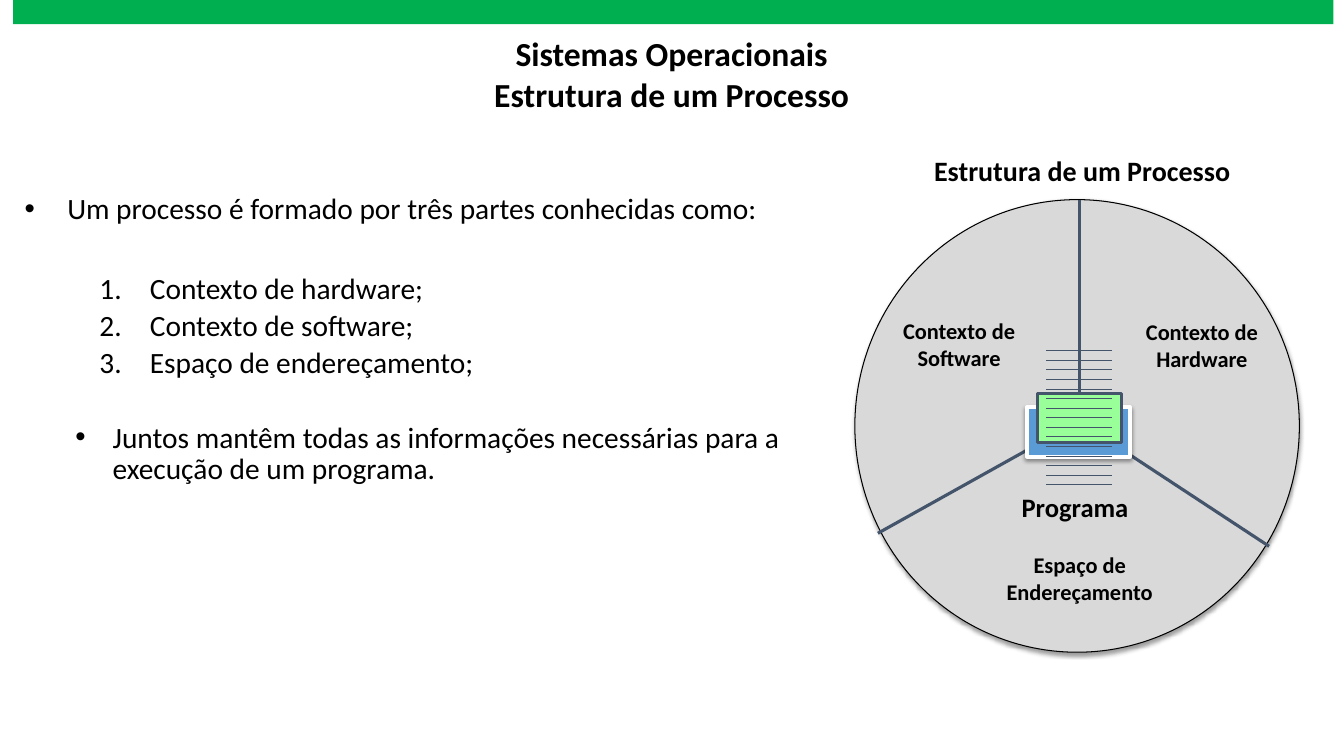
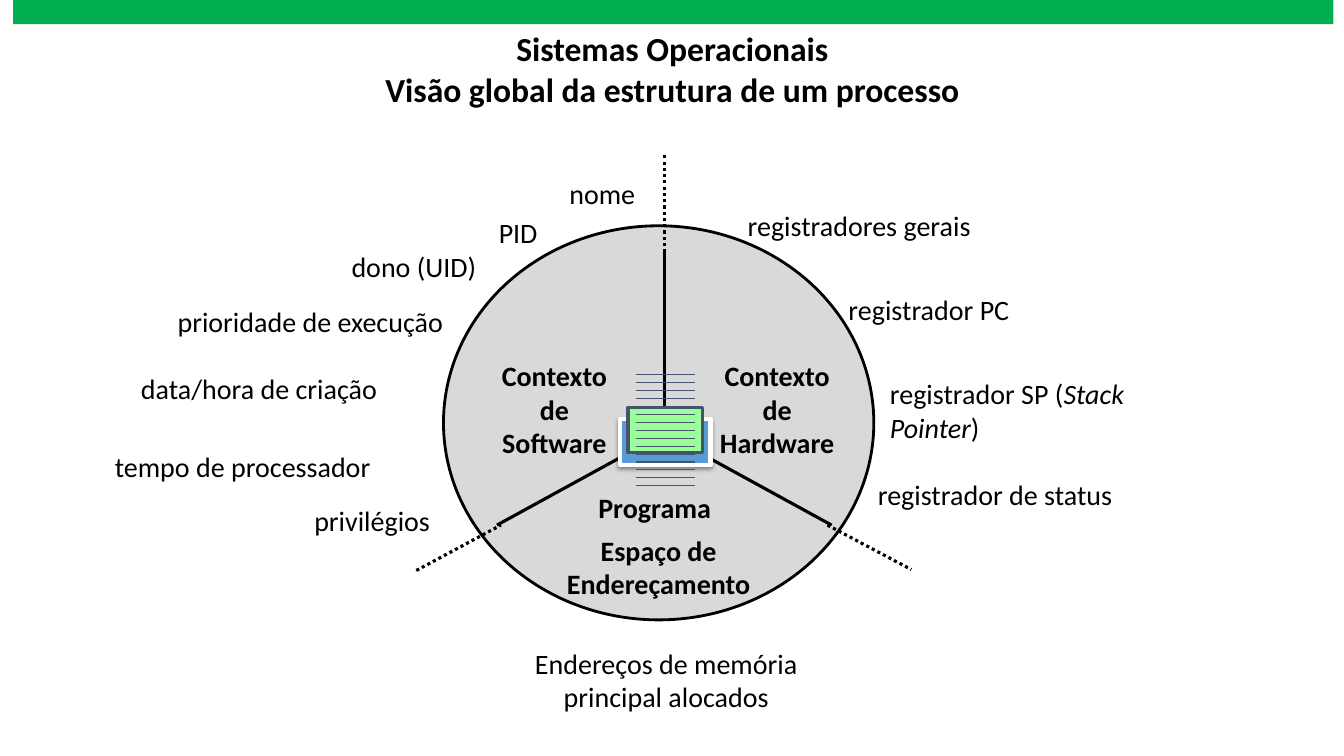
from lxml.etree import SubElement
from pptx import Presentation
from pptx.dml.color import RGBColor
from pptx.enum.dml import MSO_LINE
from pptx.enum.shapes import MSO_CONNECTOR, MSO_SHAPE
from pptx.enum.text import PP_ALIGN
from pptx.oxml.ns import qn
from pptx.util import Pt

BLACK = RGBColor(0x00, 0x00, 0x00)
WHITE = RGBColor(0xFF, 0xFF, 0xFF)
BAND_GREEN = RGBColor(0x00, 0xB0, 0x50)
DISC_GRAY = RGBColor(0xD9, 0xD9, 0xD9)
SLATE = RGBColor(0x44, 0x54, 0x6A)
BLUE = RGBColor(0x5B, 0x9B, 0xD5)
MINT = RGBColor(0x99, 0xFF, 0x99)
FONT = "Calibri"
LEFT, CENTER = PP_ALIGN.LEFT, PP_ALIGN.CENTER
STRIPES = 15


def add_text(s, box, text, size, bold=False, align=CENTER):
    tf = s.shapes.add_textbox(*map(Pt, box)).text_frame
    tf.word_wrap = True
    for n, line in enumerate(text.split("\n")):
        p = tf.add_paragraph() if n else tf.paragraphs[0]
        p.alignment = align
        for k, part in enumerate(line.split("*")):
            r = p.add_run()
            r.text = part
            r.font.name = FONT
            r.font.size = Pt(size)
            r.font.bold = bold
            r.font.italic = k % 2 == 1
            r.font.color.rgb = BLACK
    return tf


def add_line(s, ends, color, width, dash=None):
    c = s.shapes.add_connector(MSO_CONNECTOR.STRAIGHT, *map(Pt, ends))
    c.line.color.rgb = color
    c.line.width = Pt(width)
    if dash:
        c.line.dash_style = dash
    SubElement(c._element.spPr, qn("a:effectLst"))


DIAGRAMS = [
    dict(
        title="Sistemas Operacionais\nEstrutura de um Processo",
        title_box=(285.8, 20.2, 388, 64.8),
        disc=(610.6, 142.6, 317.5, 323.3), disc_line=0.75, disc_shadow=True,
        spokes=[(771.1, 142.6, 771.1, 301), (776.2, 304.6, 906.5, 390.2),
                (627.1, 380.9, 770.4, 301)],
        spoke_color=SLATE,
        back=(733.7, 290.9, 73.4, 35.3), front=(740.9, 280.8, 60.5, 35.3),
        stripes=(747.4, 794.2, 250.6, 346.3),
        labels=[("Programa", (716.4, 347, 103, 52.6), 19),
                ("Contexto de Software", (630.7, 223.2, 108.7, 64.8), 16),
                ("Contexto de Hardware", (804.2, 224, 108.7, 64.8), 16),
                ("Espaço de Endereçamento", (704.2, 390.2, 134, 64.8), 16),
                ("Estrutura de um Processo", (620, 105.8, 306, 31), 20)],
    ),
    dict(
        title="Sistemas Operacionais\nVisão global da estrutura de um processo",
        title_box=(261.4, 16.6, 437.8, 93.6),
        disc=(316.8, 161.3, 307.4, 281.5), disc_line=2, disc_shadow=False,
        spokes=[(474.5, 179.3, 474.5, 309.6), (474.5, 309.6, 594, 375.1),
                (355, 375.1, 474.5, 309.6)],
        spoke_color=BLACK,
        back=(442.8, 299.5, 64.8, 32.4), front=(448.6, 290.9, 53.3, 32.4),
        stripes=(454.3, 496.1, 267.8, 347),
        labels=[("Programa", (414, 347, 107.3, 55.4), 20),
                ("Contexto de Software", (347.8, 252.7, 96.5, 103), 20),
                ("Contexto de Hardware", (506.9, 252.7, 96.5, 103), 20),
                ("Espaço de Endereçamento", (388.8, 377.3, 163.4, 79.2), 20)],
    ),
]

prs = Presentation()
prs.slide_width, prs.slide_height = Pt(960), Pt(540)
slides = []

for d in DIAGRAMS:
    s = prs.slides.add_slide(prs.slide_layouts[6])
    slides.append(s)
    add_text(s, d["title_box"], d["title"], 24, bold=True)

    shapes = [
        (MSO_SHAPE.RECTANGLE, (9.4, 0, 943, 17.3), BAND_GREEN, None, 0, False),
        (MSO_SHAPE.OVAL, d["disc"], DISC_GRAY, BLACK, d["disc_line"], d["disc_shadow"]),
        (MSO_SHAPE.RECTANGLE, d["back"], BLUE, WHITE, 3, True),
        (MSO_SHAPE.RECTANGLE, d["front"], MINT, SLATE, 2.25, False),
    ]
    for kind, box, fill, line, width, shadow in shapes:
        sp = s.shapes.add_shape(kind, *map(Pt, box))
        sp.shadow.inherit = False
        sp.fill.solid()
        sp.fill.fore_color.rgb = fill
        if line is None:
            sp.line.fill.background()
        else:
            sp.line.color.rgb = line
            sp.line.width = Pt(width)
        if shadow:
            effects = sp._element.spPr.find(qn("a:effectLst"))
            outer = SubElement(effects, qn("a:outerShdw"), blurRad=str(Pt(3.1)),
                               dist=str(Pt(1.6)), dir="5400000", rotWithShape="0")
            tint = SubElement(outer, qn("a:srgbClr"), val="000000")
            SubElement(tint, qn("a:alpha"), val="38000")
        if kind == MSO_SHAPE.OVAL:
            for spoke in d["spokes"]:
                add_line(s, spoke, d["spoke_color"], 2.25)

    x1, x2, top, bottom = d["stripes"]
    for n in range(STRIPES):
        y = top + n * (bottom - top) / (STRIPES - 1)
        add_line(s, (x1, y, x2, y), SLATE, 0.75)

    for text, box, size in d["labels"]:
        add_text(s, box, text, size, bold=True)

structure, overview = slides

BODY = [
    ("Um processo é formado por três partes conhecidas como:", "•", 31, -30.5, 0),
    ("Contexto de hardware;", None, 90, -36, 34.3),
    ("Contexto de software;", None, 90, -36, 3.7),
    ("Espaço de endereçamento;", None, 90, -36, 3.7),
    ("Juntos mantêm todas as informações necessárias para a execução de um programa.",
     "•", 63.4, -26.6, 30.5),
]
tf = add_text(structure, (10, 135.4, 590, 214.6),
              "\n".join(item[0] for item in BODY), 21, align=LEFT)
for p, (text, bullet, margin, indent, before) in zip(tf.paragraphs, BODY):
    pPr = p._p.get_or_add_pPr()
    pPr.set("marL", str(Pt(margin)))
    pPr.set("indent", str(Pt(indent)))
    if bullet:
        SubElement(pPr, qn("a:buFont"), typeface="Arial")
        SubElement(pPr, qn("a:buChar"), char=bullet)
    else:
        SubElement(pPr, qn("a:buFont"), typeface=FONT)
        SubElement(pPr, qn("a:buAutoNum"), type="arabicPeriod")
    p.line_spacing = 0.9
    p.space_before = Pt(before)

for ends in [(297.4, 407.5, 357.8, 375.1), (591.1, 375.1, 650.9, 406.8),
             (474.5, 110.9, 474.5, 179.3)]:
    add_line(overview, ends, BLACK, 2.25, MSO_LINE.ROUND_DOT)

TAGS = [
    ("nome", 399.6, 122.4, 71.3, LEFT),
    ("PID", 349.2, 150.5, 47.5, LEFT),
    ("dono (UID)", 244, 175, 121.7, LEFT),
    ("prioridade de execução", 97.2, 213.8, 249, CENTER),
    ("data/hora de criação", 93.6, 262, 221.8, LEFT),
    ("tempo de processador", 74.9, 317.5, 239, LEFT),
    ("privilégios", 217.4, 356.4, 116.6, LEFT),
    ("registradores gerais", 527, 145.4, 214.6, LEFT),
    ("registrador PC", 599, 205.2, 157, LEFT),
    ("registrador SP (*Stack Pointer*)", 628.6, 265.7, 200, LEFT),
    ("registrador de status", 620, 337.7, 224, LEFT),
    ("Endereços de memória principal alocados", 361.4, 458, 229, CENTER),
]
for text, x, y, w, align in TAGS:
    add_text(overview, (x, y, w, 31), text, 20, align=align)

prs.save("out.pptx")
